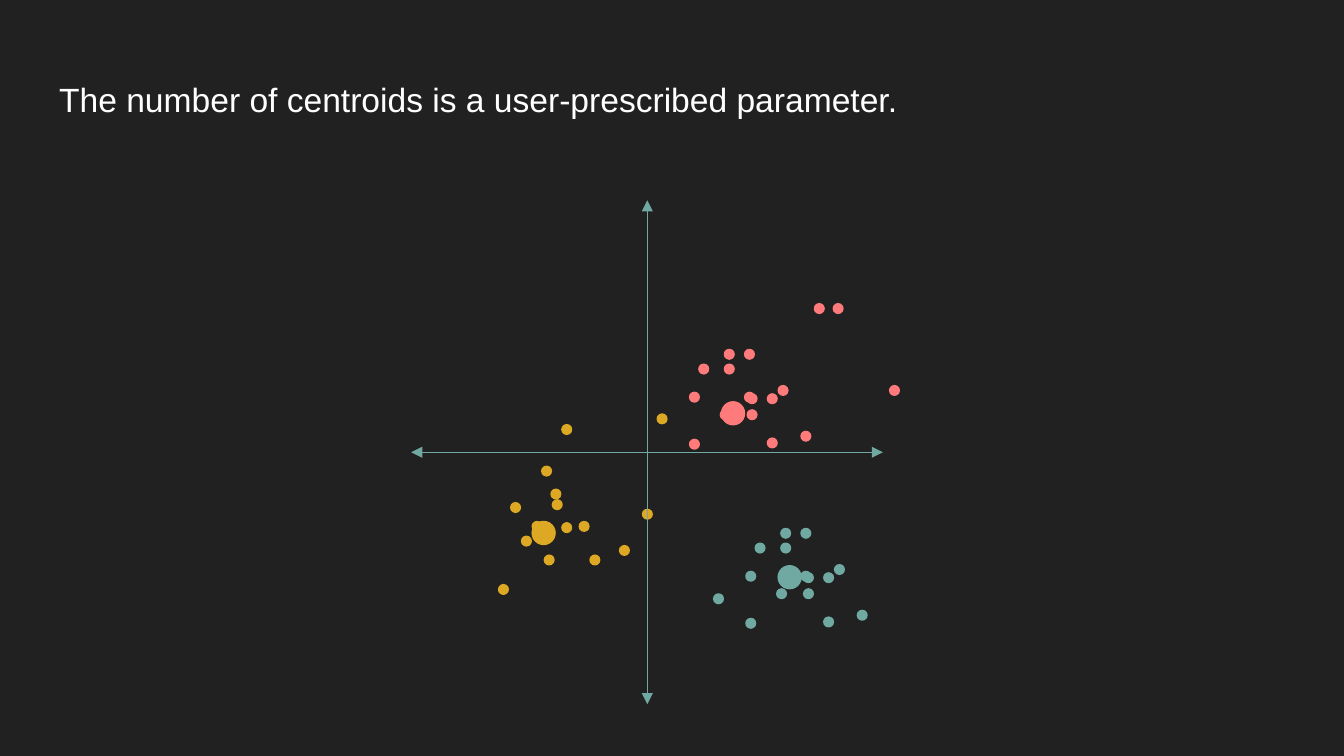
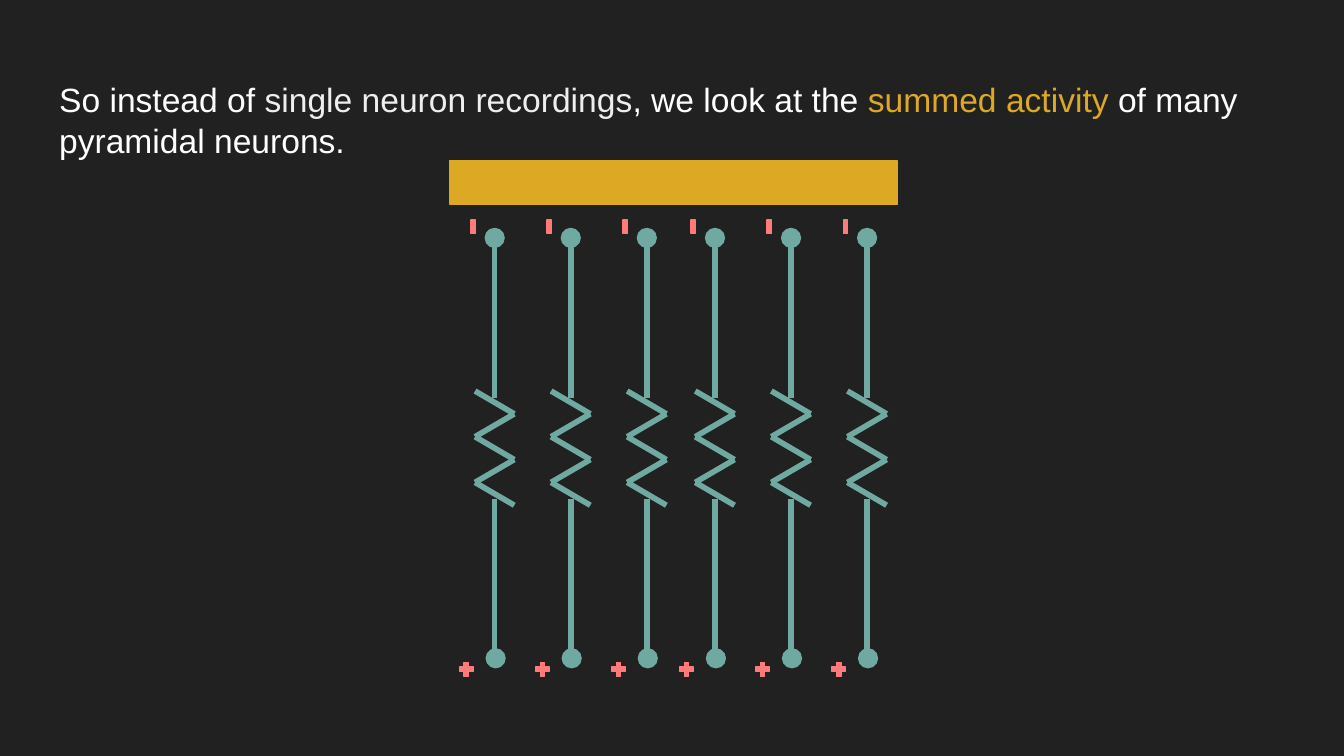
from itertools import pairwise

from lxml.etree import SubElement
from pptx import Presentation
from pptx.dml.color import RGBColor
from pptx.enum.shapes import MSO_CONNECTOR, MSO_SHAPE as SHAPE
from pptx.enum.text import MSO_ANCHOR, MSO_AUTO_SIZE, PP_ALIGN
from pptx.oxml.ns import qn
from pptx.util import Pt

CHARCOAL = RGBColor(0x21, 0x21, 0x21)
WHITE = RGBColor(0xFF, 0xFF, 0xFF)
LIGHT_GREY = RGBColor(0xEE, 0xEE, 0xEE)
PINK = RGBColor(0xFF, 0x7A, 0x7A)
GOLD = RGBColor(0xDD, 0xA8, 0x24)
TEAL = RGBColor(0x70, 0xA9, 0xA1)


def add_solid(slide, kind, left, top, width, height, color):
    """Add a shape whose fill and outline share one colour."""
    shape = slide.shapes.add_shape(kind, Pt(left), Pt(top), Pt(width), Pt(height))
    shape.shadow.inherit = False
    shape.fill.solid()
    shape.fill.fore_color.rgb = color
    shape.line.color.rgb = color
    shape.line.width = Pt(0.75)
    return shape


def add_line(slide, start, end, weight, arrow=False):
    line = slide.shapes.add_connector(
        MSO_CONNECTOR.STRAIGHT, Pt(start[0]), Pt(start[1]), Pt(end[0]), Pt(end[1])
    )
    line.line.color.rgb = TEAL
    line.line.width = Pt(weight)
    if arrow:
        SubElement(line.line._get_or_add_ln(), qn("a:tailEnd"), type="triangle")
    SubElement(line._element.spPr, qn("a:effectLst"))


prs = Presentation()
prs.slide_width, prs.slide_height = Pt(720), Pt(405)
background = prs.slide_master.background.fill
background.solid()
background.fore_color.rgb = CHARCOAL

# Titles
titles = [
    [("The number of centroids is a user-prescribed parameter.", WHITE)],
    [
        ("So instead of ", WHITE),
        ("single neuron recordings", LIGHT_GREY),
        (", we look at the ", WHITE),
        ("summed activity", GOLD),
        (" of many pyramidal neurons.", WHITE),
    ],
]
for pieces in titles:
    title = prs.slides.add_slide(prs.slide_layouts[5]).shapes.title
    title.left, title.top = Pt(24.5), Pt(35.3)
    title.width, title.height = Pt(671), Pt(45.1)
    frame = title.text_frame
    frame.word_wrap = True
    frame.auto_size = MSO_AUTO_SIZE.NONE
    frame.vertical_anchor = MSO_ANCHOR.TOP
    frame.margin_left = frame.margin_right = Pt(7.2)
    frame.margin_top = frame.margin_bottom = Pt(7.2)
    heading = frame.paragraphs[0]
    heading.alignment = PP_ALIGN.LEFT
    heading.font.name = "Arial"
    heading.font.size = Pt(18)
    for text, color in pieces:
        run = heading.add_run()
        run.text = text
        run.font.color.rgb = color
clusters_slide, neurons_slide = prs.slides

# Clusters: the pink and teal ones share a pattern of points
DOT, CENTROID = 5.2, 12.3
pattern = [
    (388.1, 187.2), (398.9, 187.2), (398.9, 210.2), (369.4, 235.4), (369.4, 210.2),
    (388.1, 195.1), (374.4, 195.1), (416.9, 206.6), (400.3, 211), (411.1, 234.7),
    (411.1, 211), (400.3, 219.6), (385.9, 219.6), (429.1, 231.1),
]
pink_points = pattern + [(436.3, 162.7), (446.4, 162.7), (476.6, 206.6)]
teal_points = [(x + 30.2, y + 95.9) for x, y in pattern] + [(382.3, 318.2)]
gold_points = [
    (352.1, 221.8), (291.6, 297.4), (331.9, 292.3), (295.9, 267.8), (301, 227.5),
    (344.2, 272.9), (279.4, 287.3), (301, 280.1), (316.1, 297.4), (267.1, 313.2),
    (285.1, 279.4), (290.2, 249.8), (273.6, 269.3), (295.2, 262.1), (310.3, 279.4),
]
clusters = [
    (GOLD, gold_points, (285.1, 279.4)),
    (PINK, pink_points, (386.6, 215.3)),
    (TEAL, teal_points, (416.9, 303.1)),
]
for color, points, _ in clusters:
    for x, y in points:
        add_solid(clusters_slide, SHAPE.OVAL, x, y, DOT, DOT, color)

origin = (346.8, 242.3)
for tip in [(346.8, 107.3), (473, 242.3), (346.8, 377.3), (220.3, 242.3)]:
    add_line(clusters_slide, origin, tip, 0.75, arrow=True)

for color, _, (x, y) in clusters:
    add_solid(clusters_slide, SHAPE.OVAL, x, y, CENTROID, CENTROID, color)

# Neurons: two groups of three, each a dipole with a zigzag in the middle
NEURON_PITCH, ZIGZAG_STEP, MARK = 40.75, 12.24, 10.1
for group_x in (265, 383):
    for position in range(3):
        x = group_x + position * NEURON_PITCH
        add_line(neurons_slide, (x, 347.8), (x, 267.1), 3)
        add_line(neurons_slide, (x, 213.1), (x, 132.5), 3)
        corners = [
            (x + (-10.5 if i % 2 else 10.5), 270.7 - i * ZIGZAG_STEP) for i in range(6)
        ]
        for start, end in pairwise(corners):
            add_line(neurons_slide, start, end, 3)
        for kind, dx, top, color in [
            (SHAPE.OVAL, -4.5, 347.6, TEAL),
            (SHAPE.OVAL, -5, 122.4, TEAL),
            (SHAPE.MATH_PLUS, -20.2, 353.5, PINK),
            (SHAPE.MATH_MINUS, -16.6, 116.4, PINK),
        ]:
            mark = add_solid(neurons_slide, kind, x + dx, top, MARK, MARK, color)
            mark.rotation = 270

add_solid(neurons_slide, SHAPE.RECTANGLE, 241.2, 85.9, 239.4, 23.6, GOLD)

prs.save("out.pptx")
